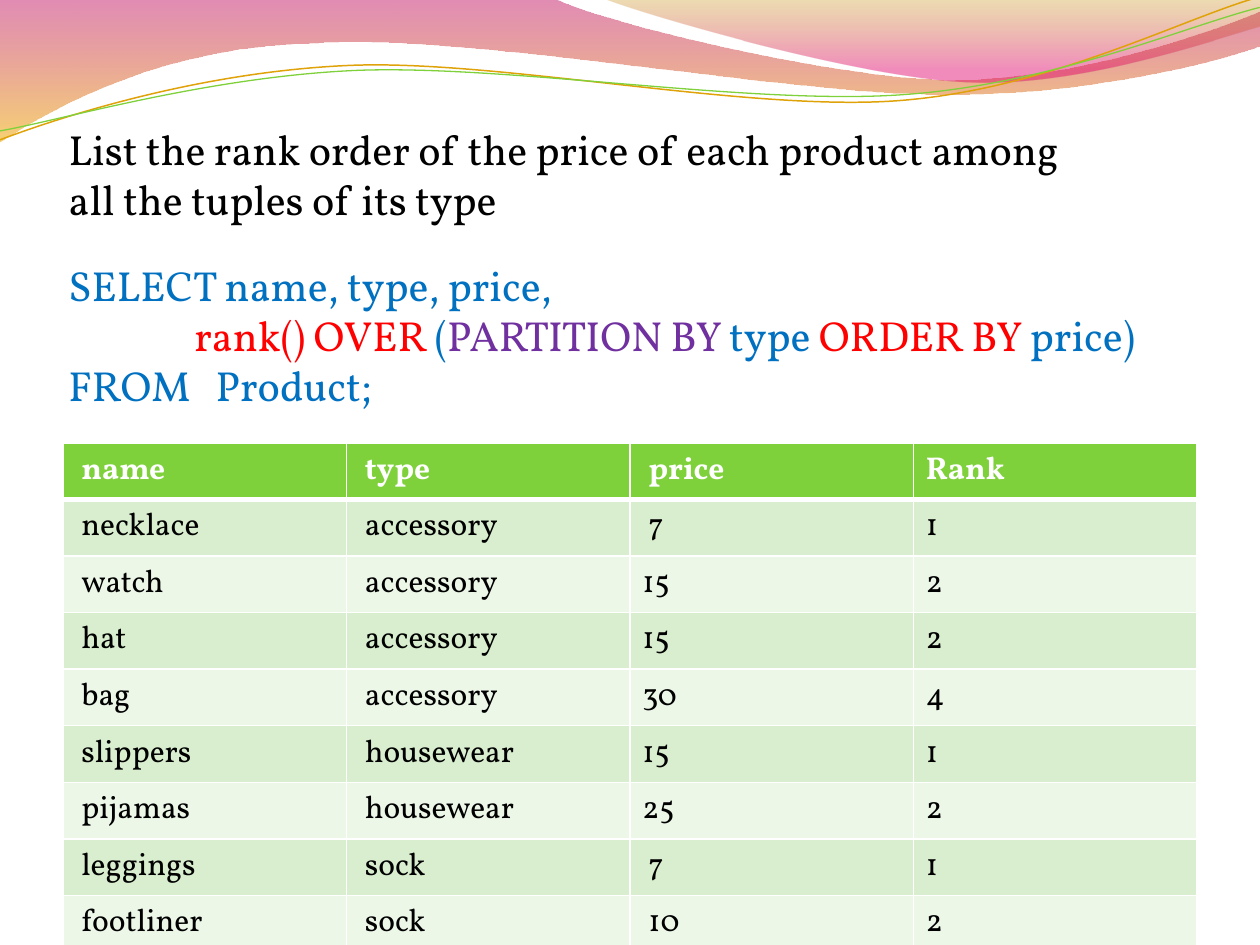
import math
from dataclasses import dataclass

from lxml import etree
from pptx import Presentation, util as u
from pptx.dml.color import RGBColor
from pptx.enum import text as t
from pptx.oxml import ns

FONT = "Vollkorn"
WHITE, BLACK, GREEN = "FFFFFF", "000000", "7FD13B"
BLUE, RED, PURPLE = "0070C0", "FF0000", "7030A0"
TILT = 2.7


@dataclass
class Stop:
    pos: float
    color: str
    alpha: int


@dataclass
class Wave:
    """Outline in cm: a step of one point is a line, of three a curve."""
    start: tuple
    steps: list
    stops: list


@dataclass
class Strand:
    start: tuple
    steps: list
    color: str
    width: float


WAVES = [
    Wave((0, 0), [
        [(11.18, -0.03)],
        [(12.09, 0.43), (16.87, 1.6), (19.25, 1.6)],
        [(21.67, 1.6), (24.33, 0.66), (25.4, 0.23)],
        [(25.43, 0.91)],
        [(24.97, 1.12), (22.1, 1.93), (18.95, 1.9)],
        [(15.8, 1.9), (9.7, 0.71), (6.53, 0.86)],
        [(3.28, 0.91), (1.17, 2.11), (-0.03, 2.87)],
    ], [Stop(0, "BD0059", 45), Stop(1, "F0AB00", 55)]),
    Wave((12.17, -0.03), [
        [(12.93, 0.28), (17.32, 1.57), (19.53, 1.65)],
        [(21.74, 1.75), (24.41, 0.81), (25.4, 0.53)],
        [(25.4, 0)],
    ], [Stop(0, "C38B00", 30), Stop(0.8, "E1006B", 45)]),
]
STRANDS = [
    Strand((0, 2.82), [
        [(1.22, 2.36), (4.01, 1.45), (7.04, 1.32)],
        [(10.03, 1.19), (15.06, 2.26), (18.11, 2.03)],
        [(21.16, 1.8), (23.83, 0.38), (25.35, -0.05)],
    ], "E0A209", 0.85),
    Strand((0, 2.64), [
        [(1.19, 2.44), (4.17, 1.55), (7.19, 1.42)],
        [(10.24, 1.3), (15.16, 2.13), (18.21, 1.91)],
        [(21.23, 1.7), (23.9, 0.53), (25.4, 0.15)],
    ], GREEN, 0.75),
]
HEADING = [
    [("List the rank order of the price of each product among", BLACK)],
    [("all the tuples of its type", BLACK)],
]
QUERY = [
    [("SELECT name, type, price,", BLUE)],
    [("               ", BLUE), ("rank() OVER ", RED), ("(", BLUE),
     ("PARTITION BY ", PURPLE), ("type ", BLUE), ("ORDER BY ", RED),
     ("price)", BLUE)],
    [("FROM   Product;", BLUE)],
]
ROWS = [
    ("name", "type", "price", "Rank"),
    ("necklace", "accessory", "7", "1"),
    ("watch", "accessory", "15", "2"),
    ("hat", "accessory", "15", "2"),
    ("bag", "accessory", "30", "4"),
    ("slippers", "housewear", "15", "1"),
    ("pijamas", "housewear", "25", "2"),
    ("leggings", "sock", "7", "1"),
    ("footliner", "sock", "10", "2"),
]
INSET_PRICES = {"price", "7", "10"}


def rgb(color: str) -> RGBColor:
    return RGBColor.from_string(color)


def style(obj, **values) -> None:
    for name, value in values.items():
        setattr(obj, name, value)


def turn(points: list, angle: float) -> list:
    """Turn points clockwise about the middle of their two ends."""
    mid_x, mid_y = [(a + b) / 2 for a, b in zip(points[0], points[-1])]
    sin, cos = math.sin(math.radians(angle)), math.cos(math.radians(angle))
    return [(mid_x + (x - mid_x) * cos - (y - mid_y) * sin,
             mid_y + (x - mid_x) * sin + (y - mid_y) * cos) for x, y in points]


def bend(shape, steps: list) -> None:
    """Join each three line segments of a curved step into one cubic curve."""
    lines = iter(shape.element.xpath(".//a:lnTo"))
    for step in steps:
        curve, *others = [next(lines) for _ in step]
        if others:
            curve.tag = ns.qn("a:cubicBezTo")
            for line in others:
                curve.append(line[0])
                line.getparent().remove(line)


def outline(slide, item, angle: float = 0, close: bool = False):
    points = [item.start] + [point for step in item.steps for point in step]
    first, *rest = [(u.Cm(x), u.Cm(y)) for x, y in turn(points, angle)]
    pen = slide.shapes.build_freeform(*first)
    pen.add_line_segments(rest, close=close)
    shape = pen.convert_to_shape()
    bend(shape, item.steps)
    shape.shadow.inherit = False
    return shape


def draw_wave(slide, wave: Wave) -> None:
    shape = outline(slide, wave, close=True)
    shape.line.fill.background()
    shape.fill.gradient()
    shape.fill.gradient_angle = 270
    for mark, stop in zip(shape.fill.gradient_stops, wave.stops):
        mark.position = stop.pos
        mark.color.rgb = rgb(stop.color)
    for node, stop in zip(shape.element.xpath(".//a:gs/a:srgbClr"), wave.stops):
        etree.SubElement(node, ns.qn("a:alpha"), val=str(stop.alpha * 1000))


def draw_strand(slide, strand: Strand) -> None:
    shape = outline(slide, strand, TILT)
    shape.rotation = 360 - TILT
    shape.fill.background()
    shape.line.color.rgb = rgb(strand.color)
    shape.line.width = u.Pt(strand.width)


def write(shape, lines: list) -> None:
    frame = shape.text_frame
    style(frame, word_wrap=True, auto_size=t.MSO_AUTO_SIZE.NONE,
          vertical_anchor=t.MSO_ANCHOR.TOP)
    for i, line in enumerate(lines):
        para = frame.add_paragraph() if i else frame.paragraphs[0]
        para.alignment = t.PP_ALIGN.LEFT
        if i:
            para.line_spacing = u.Pt(28.6)
        for words, color in line:
            run = para.add_run()
            run.text = words
            style(run.font, name=FONT, size=u.Pt(24))
            run.font.color.rgb = rgb(color)


def edge(cell, side: str, width: float) -> None:
    props = cell._tc.get_or_add_tcPr()
    line = etree.SubElement(props, ns.qn(f"a:ln{side}"), w=str(u.Pt(width)))
    fill = etree.SubElement(line, ns.qn("a:solidFill"))
    etree.SubElement(fill, ns.qn("a:srgbClr"), val=WHITE)


def fill_cell(cell, words: str, row: int, col: int) -> None:
    inset = col < 2 or (col == 2 and words in INSET_PRICES)
    cell.margin_left = u.Cm(0.37 if inset else 0.25)
    for side in "LRTB":
        edge(cell, side, 3 if (row, side) in ((0, "B"), (1, "T")) else 1)
    cell.fill.solid()
    cell.fill.fore_color.rgb = rgb(
        GREEN if row == 0 else "D8EECE" if row % 2 else "ECF7E8")
    cell.text = words
    font = cell.text_frame.paragraphs[0].runs[0].font
    style(font, name=FONT, size=u.Pt(18), bold=row == 0)
    font.color.rgb = rgb(BLACK if row else WHITE)


def draw_table(slide) -> None:
    height = 1.03
    table = slide.shapes.add_table(
        len(ROWS), len(ROWS[0]), u.Cm(1.27), u.Cm(8.93),
        u.Cm(22.86), u.Cm(height * len(ROWS))).table
    for r, row in enumerate(ROWS):
        for c, words in enumerate(row):
            fill_cell(table.cell(r, c), words, r, c)


def main() -> None:
    deck = Presentation()
    style(deck, slide_width=u.Cm(25.4), slide_height=u.Cm(19.05))
    slide = deck.slides.add_slide(deck.slide_layouts[5])
    for wave in WAVES:
        draw_wave(slide, wave)
    for strand in STRANDS:
        draw_strand(slide, strand)
    draw_table(slide)
    title = slide.shapes.title
    style(title, left=u.Cm(1.13), top=u.Cm(2.37), width=u.Cm(20.6), height=u.Cm(2.31))
    write(title, HEADING)
    write(slide.shapes.add_textbox(u.Cm(1.13), u.Cm(5.11), u.Cm(23.14), u.Cm(3.33)), QUERY)
    deck.save("out.pptx")


if __name__ == "__main__":
    main()
